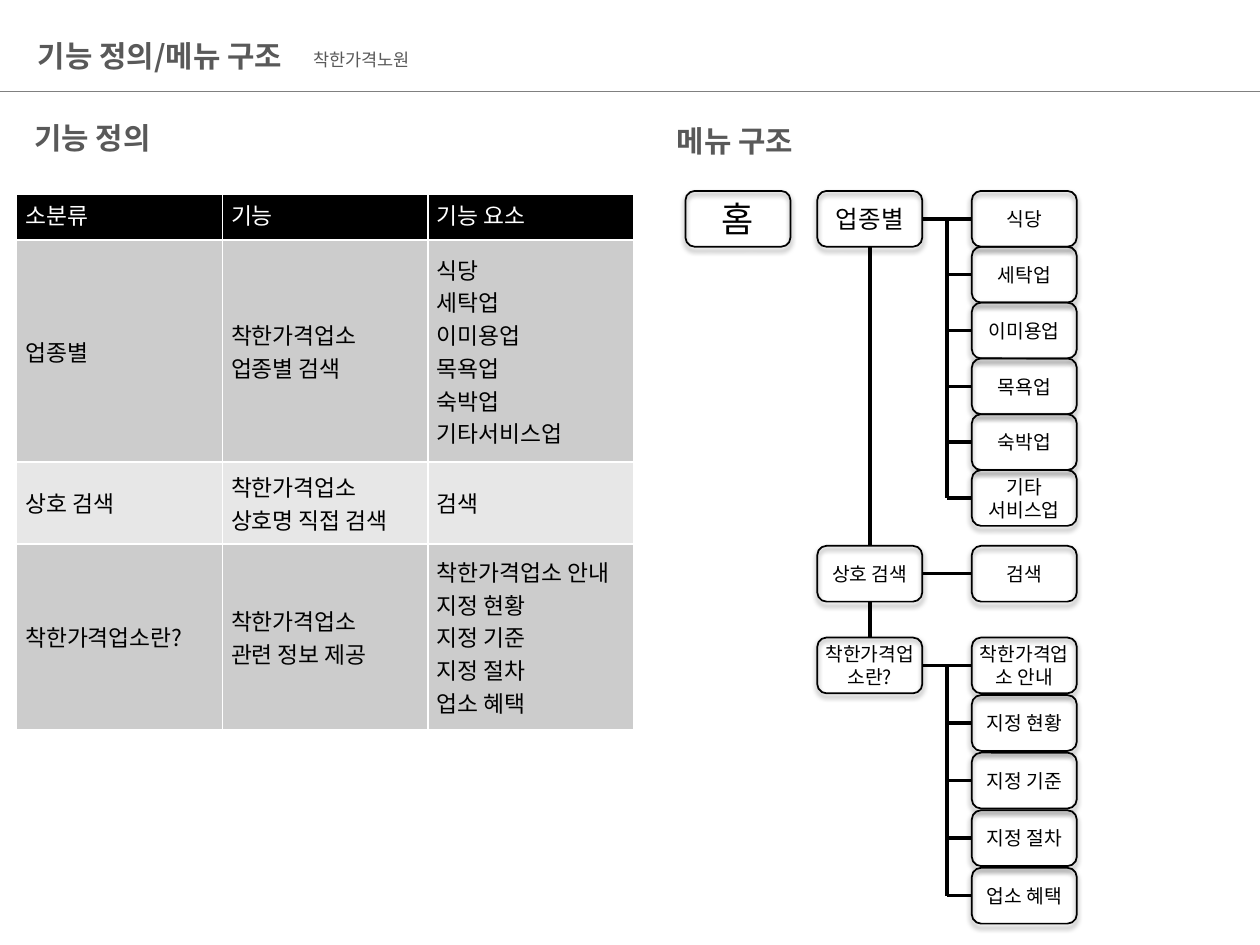
from dataclasses import dataclass

from lxml.etree import SubElement
from pptx import Presentation
from pptx.dml.color import RGBColor
from pptx.enum.shapes import MSO_CONNECTOR as Link, MSO_SHAPE as Shape
from pptx.enum.text import MSO_ANCHOR as Anchor, MSO_AUTO_SIZE as Auto, PP_ALIGN as Align
from pptx.oxml import parse_xml
from pptx.oxml.ns import nsdecls, qn
from pptx.util import Pt


@dataclass
class Theme:
    font: str = "Noto Sans CJK KR"
    ink: str = "000000"
    gray: str = "595959"
    rule: str = "808080"
    white: str = "FFFFFF"
    dark: str = "CCCCCC"
    light: str = "E7E7E7"
    head: float = 17
    note: float = 10
    cell: float = 13
    home: float = 20
    menu: float = 14
    item: float = 11


theme = Theme()


def write(frame, lines, size, color, bold=False, align=Align.LEFT):
    """Fill a text frame with one run per paragraph."""
    for i, line in enumerate(lines):
        para = frame.paragraphs[0] if i == 0 else frame.add_paragraph()
        para.alignment = align
        run = para.add_run()
        run.text = line
        font = run.font
        font.name, font.size, font.bold = theme.font, Pt(size), bold
        font.color.rgb = RGBColor.from_string(color)
        SubElement(font._element, qn("a:ea")).set("typeface", theme.font)


def setup(frame, inset, anchor):
    """Set wrapping, insets and anchor of a text frame."""
    frame.word_wrap = True
    frame.auto_size = Auto.NONE
    frame.vertical_anchor = anchor
    frame.margin_left = frame.margin_right = Pt(inset)
    frame.margin_top = frame.margin_bottom = Pt(inset)


deck = Presentation()
deck.slide_width, deck.slide_height = Pt(720), Pt(540)
slide = deck.slides.add_slide(deck.slide_layouts[5])
shapes = slide.shapes

# Title
title = shapes.title
title.left, title.top, title.width, title.height = Pt(18.7), Pt(18.7), Pt(217), Pt(26.6)
setup(title.text_frame, 2.9, Anchor.TOP)
write(title.text_frame, ["기능 정의/메뉴 구조"], theme.head, theme.gray, True)

# Subtitle and section heads
heads = [
    ("착한가격노원", 176.4, 25.2, 217, 18, theme.note, False),
    ("기능 정의", 16.6, 65.3, 162, 26.6, theme.head, True),
    ("메뉴 구조", 383.8, 67, 80, 26.6, theme.head, True),
]
for text, x, y, w, h, size, bold in heads:
    box = shapes.add_textbox(Pt(x), Pt(y), Pt(w), Pt(h))
    setup(box.text_frame, 2.9, Anchor.TOP)
    write(box.text_frame, [text], size, theme.gray, bold)

# Feature table
types = ["식당", "세탁업", "이미용업", "목욕업", "숙박업", "기타서비스업"]
about = ["착한가격업소 안내", "지정 현황", "지정 기준", "지정 절차", "업소 혜택"]
rows = [
    (26.4, theme.ink, [["소분류"], ["기능"], ["기능 요소"]]),
    (126.8, theme.dark, [["업종별"], ["착한가격업소", "업종별 검색"], types]),
    (46.7, theme.light, [["상호 검색"], ["착한가격업소", "상호명 직접 검색"], ["검색"]]),
    (106.4, theme.dark, [["착한가격업소란?"], ["착한가격업소", "관련 정보 제공"], about]),
]
high = sum(row[0] for row in rows)
table = shapes.add_table(len(rows), 3, Pt(9.5), Pt(110.9), Pt(352.8), Pt(high)).table
table.horz_banding = False
for col in table.columns:
    col.width = Pt(117.6)
for r, (tall, fill, texts) in enumerate(rows):
    table.rows[r].height = Pt(tall)
    for c, lines in enumerate(texts):
        cell = table.cell(r, c)
        cell.margin_left = cell.margin_right = Pt(5)
        cell.margin_top = cell.margin_bottom = Pt(2.6)
        cell.vertical_anchor = Anchor.MIDDLE if r else Anchor.TOP
        write(cell.text_frame, lines, theme.cell, theme.ink if r else theme.white)
        props = cell._tc.get_or_add_tcPr()
        for side in ("lnL", "lnR", "lnT", "lnB"):
            props.append(parse_xml(
                f'<a:{side} {nsdecls("a")} w="12700"><a:solidFill>'
                f'<a:srgbClr val="{theme.white}"/></a:solidFill></a:{side}>'))
        cell.fill.solid()
        cell.fill.fore_color.rgb = RGBColor.from_string(fill)

# Menu tree: label, size, top, step between items, items
wide, tall = 60, 31.9
home_x, menu_x, item_x, trunk = 391.7, 467, 555.3, 541.2
tree = [
    ("업종별", theme.menu, 109.1, 31.9, types[:-1] + ["기타 서비스업"]),
    ("상호 검색", theme.item, 311.9, 0, ["검색"]),
    ("착한가격업소란?", theme.item, 364.3, 32.9, about),
]
nodes = [("홈", theme.home, home_x, 109.1)]
links = [(0, 51.9, 720, 51.9, theme.rule, 0.25)]
for label, size, top, step, items in tree:
    nodes.append((label, size, menu_x, top))
    mid = top + tall / 2
    last = mid + step * (len(items) - 1)
    links.append((menu_x + wide, mid, item_x, mid, theme.ink, 2))
    if step:
        links.append((trunk, mid, trunk, last, theme.ink, 2))
    for i, item in enumerate(items):
        nodes.append((item, theme.item, item_x, top + step * i))
        if i:
            y = mid + step * i
            links.append((trunk, y, item_x, y, theme.ink, 2))
for above, below in zip(tree, tree[1:]):
    x = menu_x + wide / 2
    links.append((x, above[2] + tall, x, below[2], theme.ink, 2))

# Nodes: an outlined frame with a label on top
for label, size, x, y in nodes:
    group = shapes.add_group_shape().shapes
    spot = Pt(x), Pt(y), Pt(wide), Pt(tall)
    frame = group.add_shape(Shape.ROUNDED_RECTANGLE, *spot)
    frame.fill.background()
    frame.line.color.rgb = RGBColor.from_string(theme.ink)
    frame.line.width = Pt(1)
    frame._element.spPr.append(parse_xml(
        f'<a:effectLst {nsdecls("a")}><a:outerShdw blurRad="38100" dist="25400" '
        f'dir="5400000" rotWithShape="0"><a:srgbClr val="{theme.ink}">'
        f'<a:alpha val="50000"/></a:srgbClr></a:outerShdw></a:effectLst>'))
    box = group.add_textbox(*spot)
    setup(box.text_frame, 4, Anchor.MIDDLE)
    write(box.text_frame, [label], size, theme.ink, align=Align.CENTER)

# Header rule and tree lines
for x1, y1, x2, y2, color, width in links:
    line = shapes.add_connector(Link.STRAIGHT, Pt(x1), Pt(y1), Pt(x2), Pt(y2))
    line.line.color.rgb = RGBColor.from_string(color)
    line.line.width = Pt(width)
    SubElement(line._element.spPr, qn("a:effectLst"))

deck.save("out.pptx")
